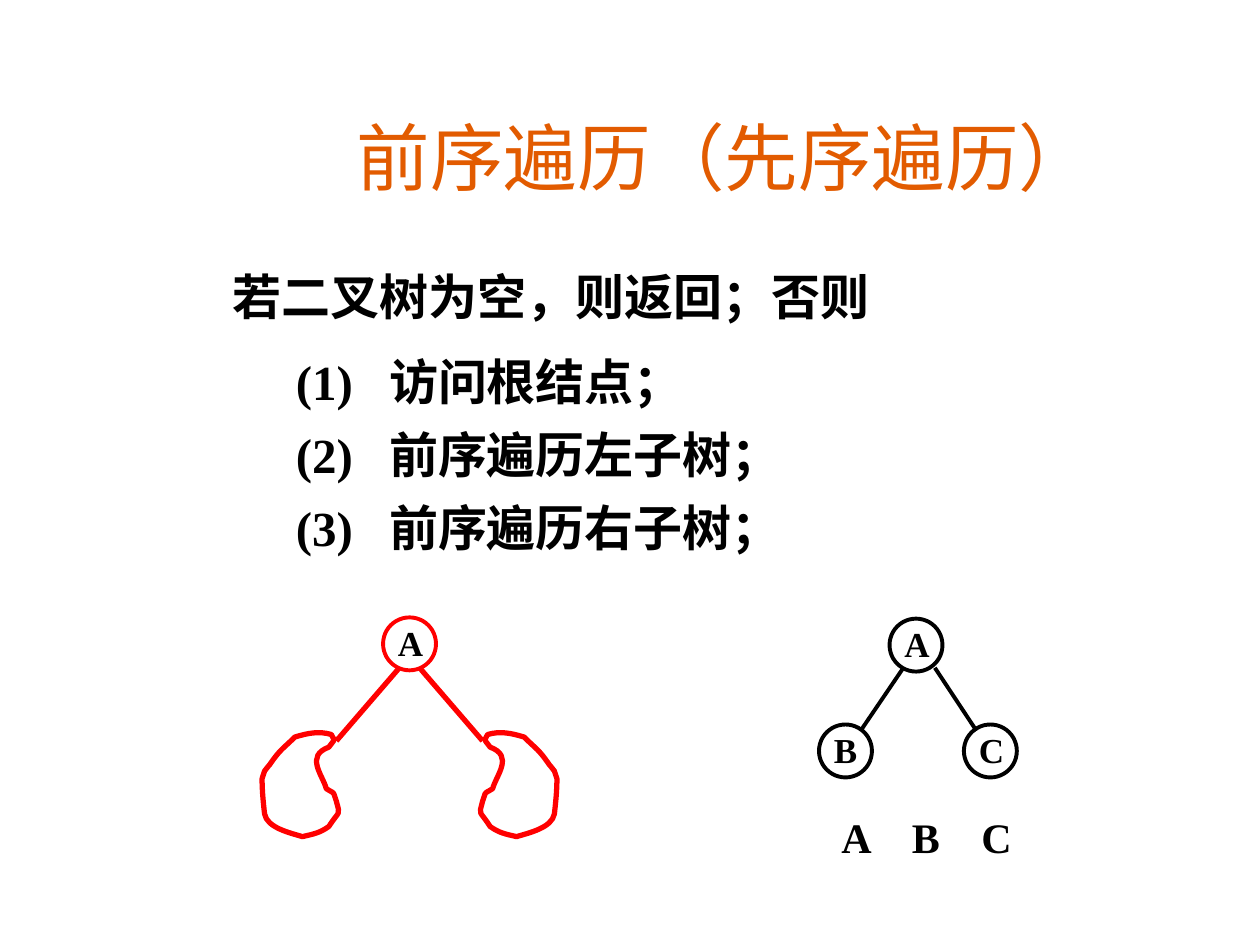
from typing import NamedTuple

from lxml import etree
from pptx import Presentation
from pptx.dml.color import RGBColor
from pptx.enum.shapes import MSO_CONNECTOR, MSO_SHAPE
from pptx.enum.text import MSO_ANCHOR, PP_ALIGN
from pptx.oxml.ns import qn
from pptx.util import Inches, Pt

BLACK = RGBColor(0x00, 0x00, 0x00)
RED = RGBColor(0xFF, 0x00, 0x00)
ORANGE = RGBColor(0xE2, 0x5B, 0x00)
OVAL = MSO_SHAPE.OVAL
STRAIGHT = MSO_CONNECTOR.STRAIGHT
BOTTOM = MSO_ANCHOR.BOTTOM
CENTER = PP_ALIGN.CENTER
SERIF = "Times New Roman"
ROUND = "Comic Neue"
SIDE = 0.42
AXIS = 3.25

Point = tuple[float, float]


class Label(NamedTuple):
    text: str
    left: float
    top: float
    width: float
    height: float
    size: float = 28
    tabs: tuple[float, ...] = ()
    font: str = SERIF
    color: RGBColor = BLACK
    bold: bool = True


class Node(NamedTuple):
    name: str
    left: float
    top: float
    color: RGBColor = BLACK


class Edge(NamedTuple):
    start: Point
    end: Point
    color: RGBColor = BLACK
    width: float = 2.25


class Curve(NamedTuple):
    lead: Point
    trail: Point
    end: Point


TITLE = Label("前序遍历（先序遍历）", 1.5, 1.08, 8.5, 0.56, 42,
              font=ROUND, color=ORANGE, bold=False)
INTRO = Label("若二叉树为空，则返回；否则", 1.75, 2.07, 5.75, 0.57)
RULES = ["访问根结点；", "前序遍历左子树；", "前序遍历右子树；"]
ORDER = Label("A\tB\tC", 6.58, 6.39, 2.83, 0.5, 24, (0.56, 1.11))

NODES = [
    Node("A", 7.06, 4.91),
    Node("B", 6.5, 5.75),
    Node("C", 7.65, 5.75),
    Node("A", 3.04, 4.9, RED),
]
EDGES = [
    Edge((2.67, 5.88), (3.17, 5.3), RED, 3),
    Edge((3.83, 5.88), (3.33, 5.3), RED, 3),
    Edge((6.83, 5.8), (7.17, 5.3)),
    Edge((7.42, 5.3), (7.75, 5.8)),
]

START = (2.63, 5.83)
CURVES = [
    Curve((2.53, 5.8), (2.44, 5.82), (2.34, 5.85)),
    Curve((2.24, 5.95), (2.23, 5.94), (2.14, 6.07)),
    Curve((2.13, 6.08), (2.1, 6.12), (2.1, 6.12)),
    Curve((2.1, 6.14), (2.08, 6.16), (2.08, 6.18)),
    Curve((2.08, 6.28), (2.09, 6.37), (2.1, 6.46)),
    Curve((2.12, 6.57), (2.3, 6.61), (2.4, 6.64)),
    Curve((2.49, 6.62), (2.54, 6.61), (2.61, 6.56)),
    Curve((2.7, 6.42), (2.7, 6.48), (2.67, 6.36)),
    Curve((2.66, 6.34), (2.66, 6.32), (2.65, 6.3)),
    Curve((2.64, 6.28), (2.61, 6.28), (2.59, 6.26)),
    Curve((2.56, 6.15), (2.42, 6), (2.61, 5.93)),
    Curve((2.66, 5.86), (2.66, 5.89), START),
]


def write(slide, label: Label, title: bool = False) -> None:
    box = slide.shapes.add_textbox(
        Inches(label.left), Inches(label.top),
        Inches(label.width), Inches(label.height))
    frame = box.text_frame
    frame.word_wrap = True
    para = frame.paragraphs[0]
    para.text = label.text
    if title:
        frame.vertical_anchor = BOTTOM
        para.alignment = CENTER
    if label.tabs:
        stops = etree.SubElement(para._p.get_or_add_pPr(), qn("a:tabLst"))
        for tab in label.tabs:
            etree.SubElement(stops, qn("a:tab"), pos=str(Inches(tab)), algn="l")
    font = para.font
    font.name = label.font
    font.size = Pt(label.size)
    font.bold = label.bold
    font.color.rgb = label.color


def outline(shape, color: RGBColor, width: float) -> None:
    shape.shadow.inherit = False
    shape.fill.background()
    shape.line.color.rgb = color
    shape.line.width = Pt(width)


def draw_node(slide, node: Node) -> None:
    ring = slide.shapes.add_shape(
        OVAL, Inches(node.left), Inches(node.top), Inches(SIDE), Inches(SIDE))
    outline(ring, node.color, 2.25)
    write(slide, Label(node.name, node.left + 0.02, node.top - 0.02,
                       0.58, 0.44, 20))


def draw_edge(slide, edge: Edge) -> None:
    line = slide.shapes.add_connector(
        STRAIGHT, *map(Inches, edge.start), *map(Inches, edge.end))
    line.line.color.rgb = edge.color
    line.line.width = Pt(edge.width)
    etree.SubElement(line._element.spPr, qn("a:effectLst"))


def bend(shape) -> None:
    lines = list(shape._element.iter(qn("a:lnTo")))
    for first in range(0, len(lines), 3):
        trio = lines[first:first + 3]
        arc = etree.Element(qn("a:cubicBezTo"))
        trio[0].addprevious(arc)
        for line in trio:
            arc.append(line[0])
            line.getparent().remove(line)


def draw_subtree(slide, points: list[Point]) -> None:
    spots = [(Inches(x), Inches(y)) for x, y in points]
    build = slide.shapes.build_freeform(*spots[0])
    build.add_line_segments(spots[1:], close=True)
    shape = build.convert_to_shape()
    bend(shape)
    outline(shape, RED, 3)


def main() -> None:
    deck = Presentation()
    deck.slide_width = Inches(10)
    deck.slide_height = Inches(7.5)
    slide = deck.slides.add_slide(deck.slide_layouts[6])

    write(slide, INTRO)
    for row, rule in enumerate(RULES):
        write(slide, Label(f"({row + 1})\t{rule}", 2.25, 2.74 + 0.58 * row,
                           5.17, 0.57, tabs=(0.74,)))

    left = [START] + [point for curve in CURVES for point in curve]
    draw_subtree(slide, left)
    draw_subtree(slide, [(2 * AXIS - x, y) for x, y in left])
    for edge in EDGES:
        draw_edge(slide, edge)
    for node in NODES:
        draw_node(slide, node)
    write(slide, ORDER)
    write(slide, TITLE, title=True)
    deck.save("out.pptx")


if __name__ == "__main__":
    main()
